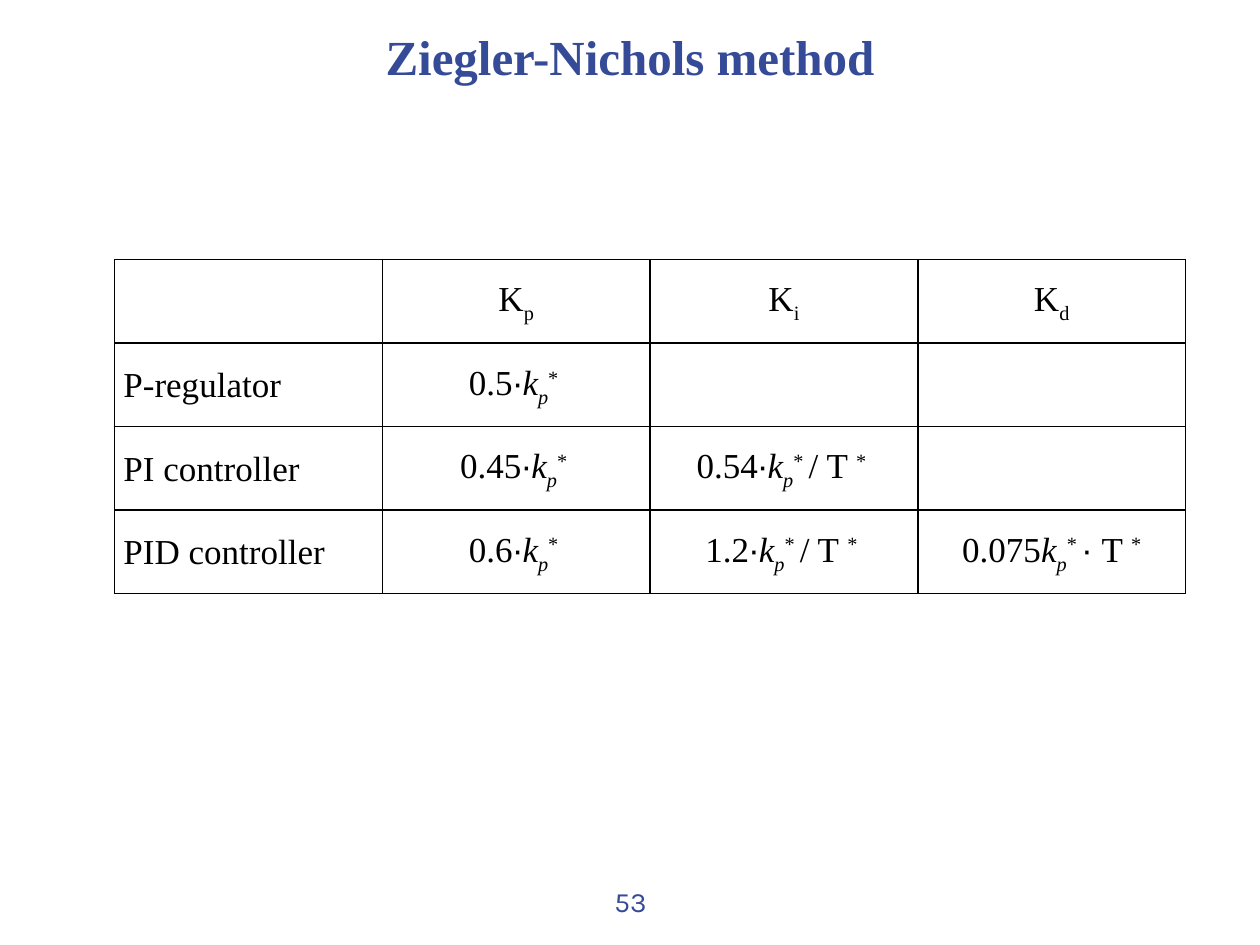
from dataclasses import dataclass

from lxml import etree
from pptx import Presentation
from pptx.dml.color import RGBColor
from pptx.enum.text import MSO_ANCHOR, PP_ALIGN
from pptx.oxml.ns import qn
from pptx.slide import Slide
from pptx.table import _Cell
from pptx.text.text import _Paragraph
from pptx.util import Inches, Pt

LEFT, CENTER = PP_ALIGN.LEFT, PP_ALIGN.CENTER
MIDDLE = MSO_ANCHOR.MIDDLE


@dataclass(frozen=True)
class Theme:
    serif: str = "Times New Roman"
    symbol: str = "Arial"
    number_font: str = "Karla"
    accent: str = "354B98"
    ink: str = "000000"
    title_size: int = 28
    table_size: int = 20
    number_size: int = 16
    border_width: int = 1


THEME = Theme()


@dataclass(frozen=True)
class Piece:
    text: str
    font: str = THEME.serif
    size: int = THEME.table_size
    color: str = THEME.ink
    bold: bool = False
    italic: bool = False
    baseline: int = 0


@dataclass(frozen=True)
class Label:
    piece: Piece
    left: float
    top: float
    width: float
    height: float


Formula = list[Piece]

DOT = Piece("∙", font=THEME.symbol)
STAR = Piece("* ", baseline=30)
CRITICAL_GAIN = [
    Piece("k", italic=True),
    Piece("p", italic=True, baseline=-25),
    STAR,
]
PER_PERIOD = [Piece("/ T "), STAR]
TIMES_PERIOD = [
    Piece("∙ ", font=THEME.symbol),
    Piece("T "),
    Piece("*", baseline=30),
]


def gain_symbol(index: str) -> Formula:
    return [Piece("K"), Piece(index, baseline=-25)]


def scaled_gain(factor: str) -> Formula:
    return [Piece(factor), DOT, *CRITICAL_GAIN]


TUNING_RULES: list[list[Formula]] = [
    [[], gain_symbol("p"), gain_symbol("i"), gain_symbol("d")],
    [[Piece("P-regulator")], scaled_gain("0.5"), [], []],
    [
        [Piece("PI controller")],
        scaled_gain("0.45"),
        scaled_gain("0.54") + PER_PERIOD,
        [],
    ],
    [
        [Piece("PID controller")],
        scaled_gain("0.6"),
        scaled_gain("1.2") + PER_PERIOD,
        [Piece("0.075"), *CRITICAL_GAIN, *TIMES_PERIOD],
    ],
]

LABELS = [
    Label(
        Piece("53", THEME.number_font, THEME.number_size, THEME.accent),
        3.42, 6.95, 3.17, 0.4,
    ),
    Label(
        Piece("Ziegler-Nichols method", THEME.serif, THEME.title_size,
              THEME.accent, bold=True),
        0, 0.13, 10, 0.63,
    ),
]


def apply_format(target: object, values: dict[str, object]) -> None:
    for name, value in values.items():
        setattr(target, name, value)


def write_pieces(paragraph: _Paragraph, pieces: Formula) -> None:
    for piece in pieces:
        run = paragraph.add_run()
        run.text = piece.text
        apply_format(run.font, {
            "name": piece.font,
            "size": Pt(piece.size),
            "bold": piece.bold,
            "italic": piece.italic,
        })
        run.font.color.rgb = RGBColor.from_string(piece.color)
        if piece.baseline:
            run._r.get_or_add_rPr().set("baseline", str(piece.baseline * 1000))


def draw_borders(cell: _Cell) -> None:
    properties = cell._tc.get_or_add_tcPr()
    for position, side in enumerate(("lnL", "lnR", "lnT", "lnB")):
        border = etree.Element(qn(f"a:{side}"), w=str(Pt(THEME.border_width)))
        fill = etree.SubElement(border, qn("a:solidFill"))
        etree.SubElement(fill, qn("a:srgbClr"), val=THEME.ink)
        properties.insert(position, border)


def fill_cell(cell: _Cell, formula: Formula, alignment: PP_ALIGN) -> None:
    apply_format(cell, {
        "vertical_anchor": MIDDLE,
        "margin_left": Inches(0.07),
        "margin_right": Inches(0.07),
        "margin_top": 0,
        "margin_bottom": 0,
    })
    cell.fill.background()
    draw_borders(cell)
    paragraph = cell.text_frame.paragraphs[0]
    apply_format(paragraph, {"alignment": alignment, "line_spacing": 1.07})
    write_pieces(paragraph, formula)


def draw_tuning_table(slide: Slide, rules: list[list[Formula]]) -> None:
    table = slide.shapes.add_table(
        len(rules), len(rules[0]),
        Inches(0.91), Inches(2.06), Inches(8.5), Inches(2.65),
    ).table
    apply_format(table, {"first_row": False, "horz_banding": False})
    for row, formulas in enumerate(rules):
        for column, formula in enumerate(formulas):
            alignment = CENTER if column else LEFT
            fill_cell(table.cell(row, column), formula, alignment)


def draw_label(slide: Slide, label: Label) -> None:
    box = slide.shapes.add_textbox(
        Inches(label.left), Inches(label.top),
        Inches(label.width), Inches(label.height),
    )
    apply_format(box.text_frame, {"word_wrap": True, "vertical_anchor": MIDDLE})
    paragraph = box.text_frame.paragraphs[0]
    paragraph.alignment = CENTER
    write_pieces(paragraph, [label.piece])


def main() -> None:
    presentation = Presentation()
    apply_format(presentation, {
        "slide_width": Inches(10),
        "slide_height": Inches(7.5),
    })
    slide = presentation.slides.add_slide(presentation.slide_layouts[6])
    draw_tuning_table(slide, TUNING_RULES)
    for label in LABELS:
        draw_label(slide, label)
    presentation.save("out.pptx")


if __name__ == "__main__":
    main()
